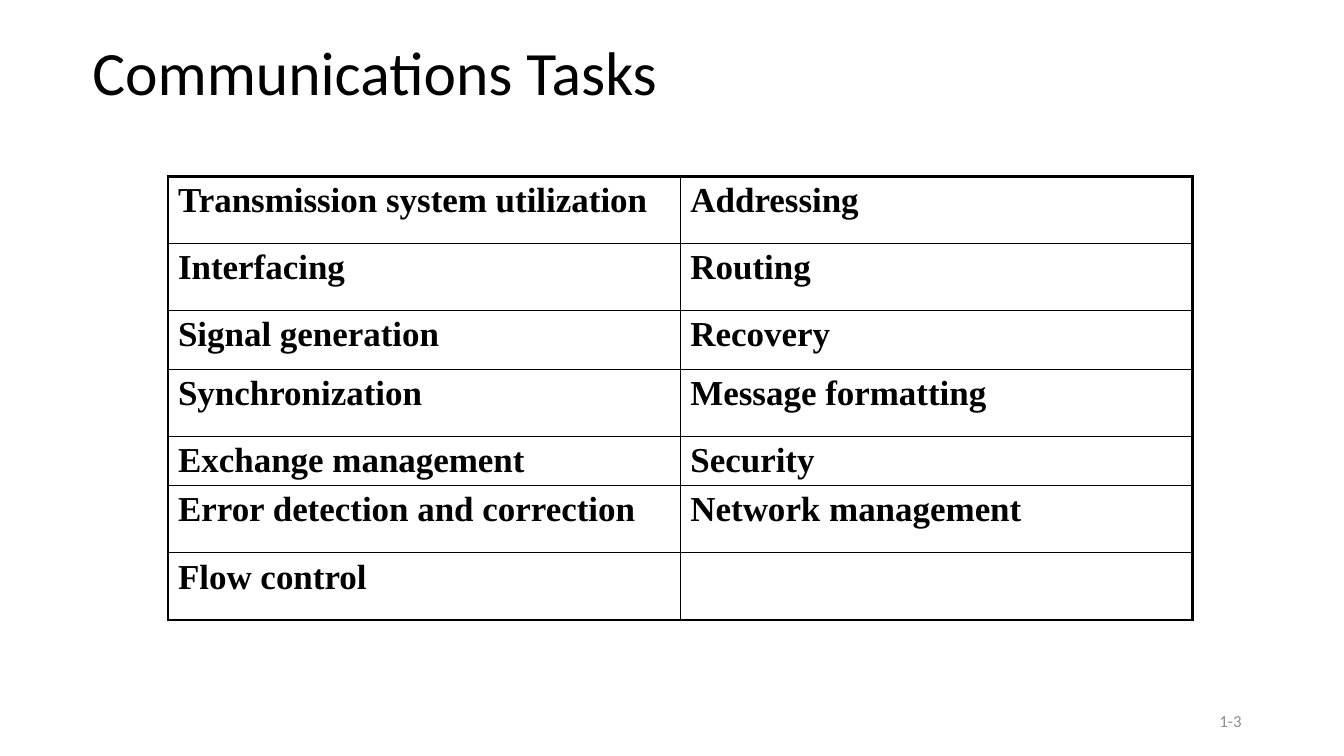
from dataclasses import dataclass

from lxml.etree import SubElement
from pptx import Presentation
from pptx.dml.color import RGBColor
from pptx.enum.text import MSO_ANCHOR, MSO_AUTO_SIZE, PP_ALIGN
from pptx.oxml.ns import qn
from pptx.util import Pt


@dataclass(frozen=True)
class Theme:
    ink: RGBColor = RGBColor(0x00, 0x00, 0x00)
    muted: RGBColor = RGBColor(0x8C, 0x8C, 0x8C)
    heading_font: str = "Calibri"
    table_font: str = "Times New Roman"
    title_size: float = 44
    task_size: float = 25
    number_size: float = 12
    outer_line: float = 2.25
    inner_line: float = 1


THEME = Theme()
TASKS = [
    ("Transmission system utilization", "Addressing"),
    ("Interfacing", "Routing"),
    ("Signal generation", "Recovery"),
    ("Synchronization", "Message formatting"),
    ("Exchange management", "Security"),
    ("Error detection and correction", "Network management"),
    ("Flow control", ""),
]
ROW_HEIGHTS = [48, 48, 42, 48, 35, 48, 48]


def style_font(paragraph, family, size, color, bold=False):
    font = paragraph.font
    font.name = family
    font.size = Pt(size)
    font.bold = bold
    font.color.rgb = color


def add_title(slide, left, top, width, height):
    title = slide.shapes.title
    title.left, title.top = Pt(left), Pt(top)
    title.width, title.height = Pt(width), Pt(height)
    frame = title.text_frame
    frame.text = "Communications Tasks"
    frame.word_wrap = True
    frame.auto_size = MSO_AUTO_SIZE.NONE
    frame.vertical_anchor = MSO_ANCHOR.BOTTOM
    frame.margin_left = frame.margin_right = frame.margin_bottom = 0
    frame.margin_top = Pt(3.6)
    heading = frame.paragraphs[0]
    heading.alignment = PP_ALIGN.LEFT
    heading.line_spacing = 0.9
    style_font(heading, THEME.heading_font, THEME.title_size, THEME.ink)


def set_borders(cell, outer_sides):
    properties = cell._tc.get_or_add_tcPr()
    for side, is_outer in outer_sides.items():
        weight = THEME.outer_line if is_outer else THEME.inner_line
        border = SubElement(properties, qn(f"a:ln{side}"), w=str(Pt(weight)))
        fill = SubElement(border, qn("a:solidFill"))
        SubElement(fill, qn("a:srgbClr"), val=str(THEME.ink))


def add_task_table(slide, left, top, width):
    row_count, column_count = len(TASKS), len(TASKS[0])
    table = slide.shapes.add_table(
        row_count, column_count,
        Pt(left), Pt(top), Pt(width), Pt(sum(ROW_HEIGHTS)),
    ).table
    table.first_row = False
    table.horz_banding = False
    for column in table.columns:
        column.width = Pt(width / column_count)
    for r, (tasks, height) in enumerate(zip(TASKS, ROW_HEIGHTS)):
        table.rows[r].height = Pt(height)
        for c, task in enumerate(tasks):
            cell = table.cell(r, c)
            cell.text = task
            style_font(cell.text_frame.paragraphs[0], THEME.table_font,
                       THEME.task_size, THEME.ink, bold=True)
            set_borders(cell, {
                "L": c == 0,
                "R": c == column_count - 1,
                "T": r == 0,
                "B": r == row_count - 1,
            })
            cell.fill.background()


def add_page_number(slide, left, top, width, height):
    frame = slide.shapes.add_textbox(
        Pt(left), Pt(top), Pt(width), Pt(height)).text_frame
    frame.text = "1-3"
    frame.word_wrap = True
    frame.vertical_anchor = MSO_ANCHOR.MIDDLE
    number = frame.paragraphs[0]
    number.alignment = PP_ALIGN.RIGHT
    style_font(number, THEME.heading_font, THEME.number_size, THEME.muted)


def main():
    presentation = Presentation()
    presentation.slide_width, presentation.slide_height = Pt(960), Pt(540)
    slide = presentation.slides.add_slide(presentation.slide_layouts[5])
    add_title(slide, 66, 24, 648, 54)
    add_task_table(slide, 120, 126, 732)
    add_page_number(slide, 678, 500.5, 216, 28.8)
    presentation.save("out.pptx")


if __name__ == "__main__":
    main()
